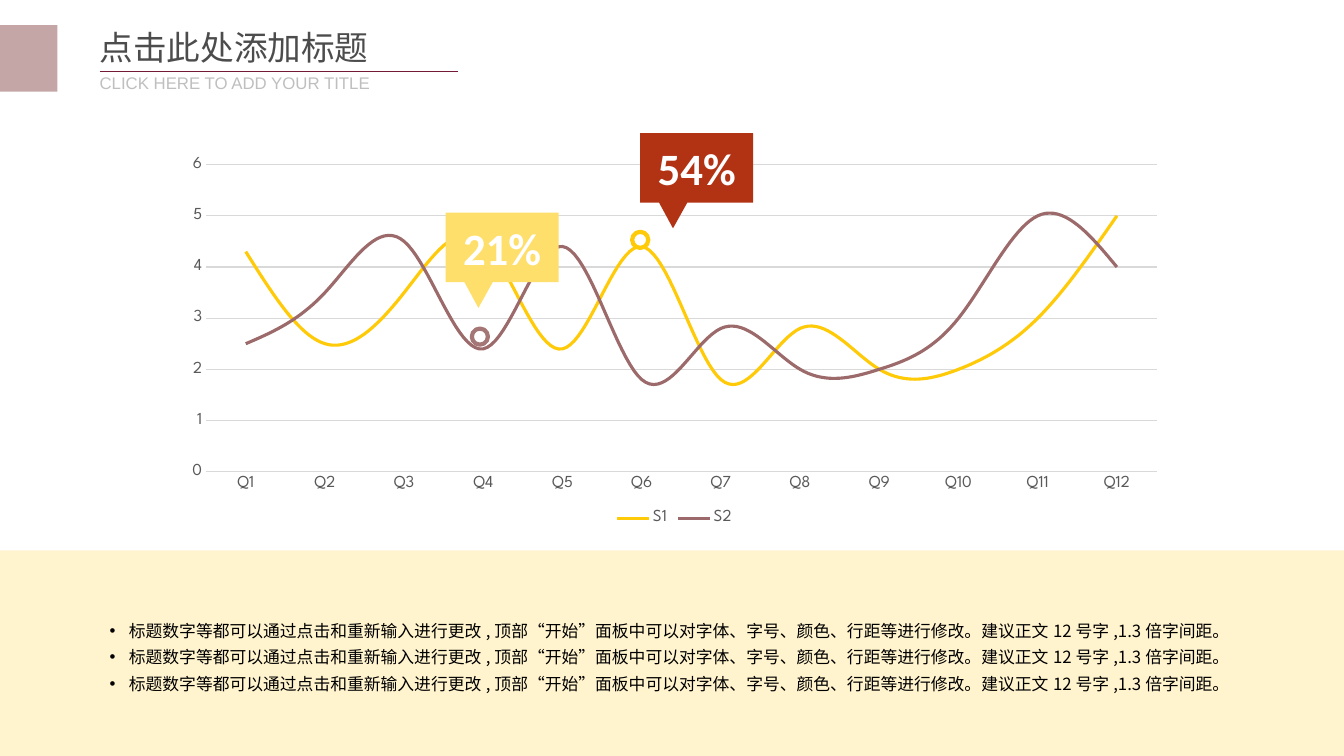
from lxml import etree
from pptx import Presentation
from pptx.chart.data import CategoryChartData
from pptx.dml.color import RGBColor
from pptx.enum.chart import XL_CHART_TYPE, XL_LEGEND_POSITION, XL_TICK_MARK
from pptx.enum.shapes import MSO_CONNECTOR, MSO_SHAPE
from pptx.enum.text import MSO_ANCHOR, MSO_AUTO_SIZE, PP_ALIGN
from pptx.oxml.ns import qn
from pptx.util import Inches, Pt

RECT, OVAL = MSO_SHAPE.RECTANGLE, MSO_SHAPE.OVAL
CALLOUT = MSO_SHAPE.RECTANGULAR_CALLOUT
LINE, STRAIGHT = XL_CHART_TYPE.LINE, MSO_CONNECTOR.STRAIGHT
BOTTOM, NO_TICK = XL_LEGEND_POSITION.BOTTOM, XL_TICK_MARK.NONE
MIDDLE, CENTER = MSO_ANCHOR.MIDDLE, PP_ALIGN.CENTER
GROW = MSO_AUTO_SIZE.SHAPE_TO_FIT_TEXT
HAN = "Noto Sans CJK SC"

QUARTERS = [f"Q{n}" for n in range(1, 13)]
SERIES = [
    ("S1", "FFCA08", (4.3, 2.5, 3.5, 4.5, 2.4, 4.4, 1.8, 2.8, 2, 2, 3, 5)),
    ("S2", "9C6A6A", (2.5, 3.5, 4.5, 2.4, 4.4, 1.8, 2.8, 2, 2, 3, 5, 4)),
]
MARKS = [
    ("54%", "B23214", (6.35, 1.32), "A47676", (4.68, 3.26)),
    ("21%", "FFDF6B", (4.42, 2.11), "FFCA08", (6.27, 2.3)),
]
BLOCKS = [
    ("FFF4CE", (0, 5.46, 13.33, 2.04)),
    ("C4A6A6", (0, 0.25, 0.57, 0.66)),
]
NOTE = ("标题数字等都可以通过点击和重新输入进行更改,顶部“开始”面板中可以对字体、"
        "字号、颜色、行距等进行修改。建议正文12号字,1.3倍字间距。").replace(",", ",")
TEXTS = [
    ([NOTE] * 3, (0.99, 6.05, 11.57, 0.89), True, True,
     dict(name=HAN, size=Pt(12), color="000000")),
    (["点击此处添加标题"], (0.89, 0.22, 2.89, 0.5), False, False,
     dict(name="Arial", size=Pt(24), color="4C4C4C")),
    (["CLICK HERE TO ADD YOUR TITLE"], (0.89, 0.67, 4.2, 0.3), True, False,
     dict(name="Arial", size=Pt(12), color="BFBFBF")),
]
LABEL = dict(name="Calibri", size=Pt(32), bold=True, color="FFFFFF")
AXIS = dict(name="League Spartan", size=Pt(12), color="595959")


def rgb(code):
    return RGBColor.from_string(code)


def style(font, form):
    for key, val in form.items():
        if key == "color":
            font.color.rgb = rgb(val)
        else:
            setattr(font, key, val)


def stroke(line, color, width):
    line.color.rgb = rgb(color)
    line.width = Pt(width)


def write(para, text, form):
    run = para.add_run()
    run.text = text
    style(run.font, form)
    etree.SubElement(run.font._element, qn("a:ea"), typeface=HAN)


def bullet(para):
    para.line_spacing = 1.3
    props = para._p.get_or_add_pPr()
    props.set("marL", str(Inches(0.19)))
    props.set("indent", str(Inches(-0.19)))
    etree.SubElement(props, qn("a:buFont"), typeface="Arial")
    etree.SubElement(props, qn("a:buChar"), char="•")


def draw(kind, box, fill):
    shape = shapes.add_shape(kind, *map(Inches, box))
    shape.shadow.inherit = False
    shape.fill.solid()
    shape.fill.fore_color.rgb = rgb(fill)
    shape.line.fill.background()
    return shape


def plot():
    data = CategoryChartData()
    data.categories = QUARTERS
    for name, _, vals in SERIES:
        data.add_series(name, vals)
    box = map(Inches, (1.71, 1.48, 9.96, 3.78))
    chart = shapes.add_chart(LINE, *box, data).chart
    style(chart.font, AXIS)
    chart.has_title = False
    chart.has_legend = True
    chart.legend.position = BOTTOM
    chart.legend.include_in_layout = False
    style(chart.legend.font, AXIS)
    chart.plots[0].vary_by_categories = False
    for item, (_, color, _) in zip(chart.plots[0].series, SERIES):
        item.smooth = True
        stroke(item.format.line, color, 2.25)
    cat, val = chart.category_axis, chart.value_axis
    for axis in (cat, val):
        axis.major_tick_mark = axis.minor_tick_mark = NO_TICK
        style(axis.tick_labels.font, AXIS)
    stroke(cat.format.line, "D9D9D9", 0.75)
    val.format.line.fill.background()
    stroke(val.major_gridlines.format.line, "D9D9D9", 0.75)
    val.minimum_scale, val.maximum_scale, val.major_unit = 0, 6, 1


deck = Presentation()
deck.slide_width, deck.slide_height = Inches(13.33), Inches(7.5)
shapes = deck.slides.add_slide(deck.slide_layouts[6]).shapes

plot()
for text, fill, spot, ring, dot in MARKS:
    flag = draw(CALLOUT, (*spot, 1.12, 0.69), fill)
    flag.adjustments[0], flag.adjustments[1] = -0.21, 0.87
    frame = flag.text_frame
    frame.vertical_anchor = MIDDLE
    frame.paragraphs[0].alignment = CENTER
    write(frame.paragraphs[0], text, LABEL)
    stroke(draw(OVAL, (*dot, 0.16, 0.16), "FFFFFF").line, ring, 3)

for fill, box in BLOCKS:
    draw(RECT, box, fill)

for lines, box, wrap, listed, form in TEXTS:
    frame = shapes.add_textbox(*map(Inches, box)).text_frame
    frame.word_wrap = wrap
    frame.auto_size = GROW
    for num, text in enumerate(lines):
        para = frame.add_paragraph() if num else frame.paragraphs[0]
        if listed:
            bullet(para)
        write(para, text, form)

rule = shapes.add_connector(STRAIGHT, *map(Inches, (0.99, 0.71, 4.54, 0.71)))
stroke(rule.line, "741A36", 0.5)
etree.SubElement(rule._element.spPr, qn("a:effectLst"))

deck.save("out.pptx")
